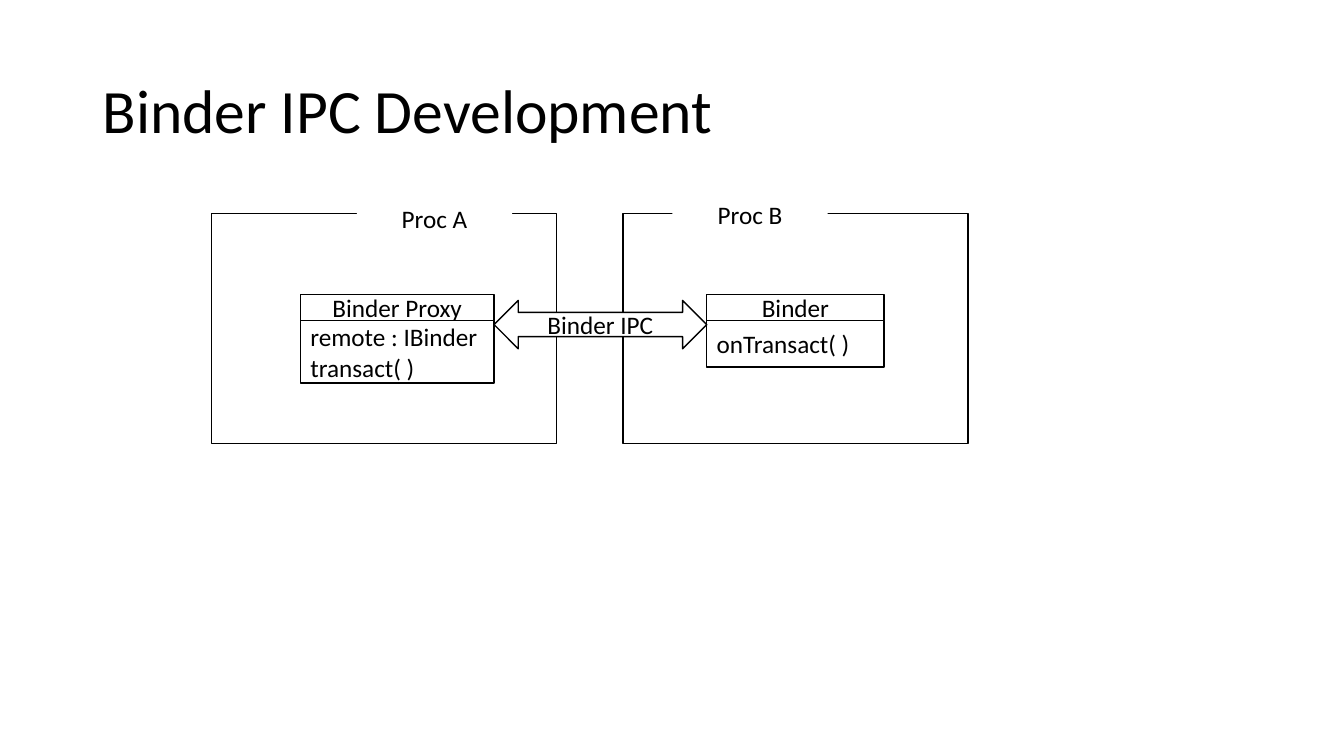
from pptx import Presentation
from pptx.dml.color import RGBColor
from pptx.enum import shapes, text
from pptx.util import Inches, Pt

BLACK = RGBColor(0x00, 0x00, 0x00)
WHITE = RGBColor(0xFF, 0xFF, 0xFF)
RECTANGLE = shapes.MSO_SHAPE.RECTANGLE
ARROW = shapes.MSO_SHAPE.LEFT_RIGHT_ARROW
LEFT = text.PP_ALIGN.LEFT
CENTER = text.PP_ALIGN.CENTER

deck = Presentation()
deck.slide_width = Inches(13.33)
deck.slide_height = Inches(7.5)
page = deck.slides.add_slide(deck.slide_layouts[6])


def write(box, words, size, align):
    frame = box.text_frame
    frame.word_wrap = True
    frame.vertical_anchor = text.MSO_ANCHOR.MIDDLE
    frame.text = words
    for para in frame.paragraphs:
        para.alignment = align
        for span in para.runs:
            span.font.name = "Calibri"
            span.font.size = Pt(size)
            span.font.color.rgb = BLACK


def add_box(kind, left, top, width, height, words="", align=CENTER, outlined=True):
    box = page.shapes.add_shape(kind, Inches(left), Inches(top), Inches(width), Inches(height))
    box.shadow.inherit = False
    box.fill.solid()
    box.fill.fore_color.rgb = WHITE
    if outlined:
        box.line.color.rgb = BLACK
        box.line.width = Pt(1)
    else:
        box.line.fill.background()
    if words:
        write(box, words, 18, align)


title = page.shapes.add_textbox(Inches(0.92), Inches(0.4), Inches(11.5), Inches(1.45))
write(title, "Binder IPC Development", 44, LEFT)
title.text_frame.paragraphs[0].line_spacing = 0.9

for process_left in (6.18, 2.1):
    add_box(RECTANGLE, process_left, 2.12, 3.42, 2.28)

classes = [
    ("Binder Proxy", "remote : IBinder\ntransact( )", 2.98, 1.92, 0.62),
    ("Binder", "onTransact( )", 7.01, 1.76, 0.46),
]
for name, members, left, width, members_height in classes:
    add_box(RECTANGLE, left, 2.92, width, 0.26, name)
    add_box(RECTANGLE, left, 3.18, width, members_height, members, LEFT)

add_box(ARROW, 4.9, 2.98, 2.11, 0.48, "Binder IPC")

for label, left, top in (("Proc A", 3.54, 1.97), ("Proc B", 6.67, 1.93)):
    add_box(RECTANGLE, left, top, 1.54, 0.39, label, outlined=False)

deck.save("out.pptx")
